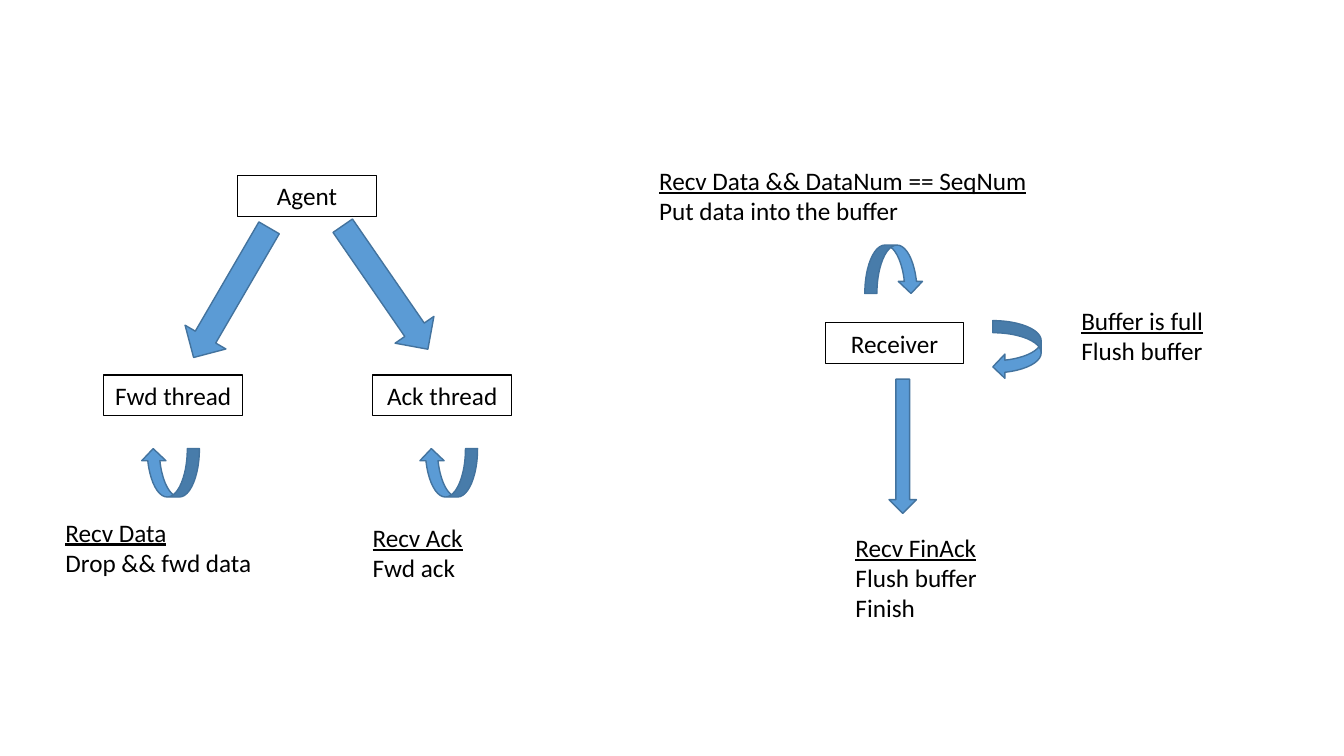
from dataclasses import dataclass

from pptx import Presentation
from pptx.dml.color import RGBColor
from pptx.enum.shapes import MSO_SHAPE
from pptx.enum.text import MSO_ANCHOR, PP_ALIGN
from pptx.shapes.autoshape import Shape
from pptx.slide import Slide
from pptx.text.text import TextFrame
from pptx.util import Cm, Pt

BLACK = RGBColor(0x00, 0x00, 0x00)
ARROW_BLUE = RGBColor(0x5B, 0x9B, 0xD5)
ARROW_EDGE = RGBColor(0x43, 0x73, 0x9E)

FONT = "Calibri"
FONT_SIZE = Pt(18)
NODE_SIZE = (3.49, 1.03)
BRANCH_SIZE = (3.78, 1.19)
EXIT_SIZE = (3.38, 0.69)
LOOP_SIZE = (1.22, 1.47)
LINE_HEIGHT = 0.77
TEXT_MARGIN = 0.26


@dataclass(frozen=True)
class Node:
    """A state box; lengths are centimetres."""
    name: str
    left: float
    top: float


@dataclass(frozen=True)
class Arrow:
    """A block arrow; size and position are given before rotation."""
    preset: MSO_SHAPE
    left: float
    top: float
    size: tuple[float, float]
    rotation: float = 0


@dataclass(frozen=True)
class Transition:
    """An underlined event with the actions that it triggers."""
    event: str
    actions: tuple[str, ...]
    left: float
    top: float
    width: float


NODES = (
    Node("Agent", 5.99, 4.42),
    Node("Fwd thread", 2.62, 9.45),
    Node("Ack thread", 9.4, 9.45),
    Node("Receiver", 20.8, 8.13),
)

ARROWS = (
    Arrow(MSO_SHAPE.RIGHT_ARROW, 7.82, 6.65, BRANCH_SIZE, 55.4),
    Arrow(MSO_SHAPE.RIGHT_ARROW, 3.94, 6.78, BRANCH_SIZE, 120.2),
    Arrow(MSO_SHAPE.RIGHT_ARROW, 21.06, 10.9, EXIT_SIZE, 90),
    Arrow(MSO_SHAPE.CURVED_LEFT_ARROW, 3.68, 11.18, LOOP_SIZE, 90),
    Arrow(MSO_SHAPE.CURVED_LEFT_ARROW, 10.69, 11.18, LOOP_SIZE, 90),
    Arrow(MSO_SHAPE.CURVED_LEFT_ARROW, 21.92, 6.05, LOOP_SIZE, 270),
    Arrow(MSO_SHAPE.CURVED_LEFT_ARROW, 25.02, 8.08, LOOP_SIZE),
)

TRANSITIONS = (
    Transition("Recv Data", ("Drop && fwd data",), 1.4, 12.9, 5.87),
    Transition("Recv Ack", ("Fwd ack",), 9.14, 13.03, 2.95),
    Transition("Recv Data && DataNum == SeqNum", ("Put data into the buffer",),
               16.36, 4.04, 11.81),
    Transition("Buffer is full", ("Flush buffer",), 27, 7.57, 4.27),
    Transition("Recv FinAck", ("Flush buffer", "Finish"), 21.31, 13.28, 4.01),
)


def write_lines(frame: TextFrame, lines: tuple[str, ...], align: PP_ALIGN,
                underline_first: bool = False) -> None:
    for index, line in enumerate(lines):
        paragraph = frame.paragraphs[0] if index == 0 else frame.add_paragraph()
        paragraph.alignment = align
        run = paragraph.add_run()
        run.text = line
        run.font.name = FONT
        run.font.size = FONT_SIZE
        run.font.color.rgb = BLACK
        run.font.underline = underline_first and index == 0


def add_flat_shape(slide: Slide, preset: MSO_SHAPE, left: float, top: float,
                   size: tuple[float, float], edge: RGBColor, edge_width: float) -> Shape:
    """Add a preset shape without shadow, outlined but not yet filled."""
    width, height = size
    shape = slide.shapes.add_shape(preset, Cm(left), Cm(top), Cm(width), Cm(height))
    shape.shadow.inherit = False
    shape.line.color.rgb = edge
    shape.line.width = Pt(edge_width)
    return shape


def add_node(slide: Slide, node: Node) -> None:
    box = add_flat_shape(slide, MSO_SHAPE.RECTANGLE, node.left, node.top,
                         NODE_SIZE, BLACK, 0.75)
    box.fill.background()
    box.text_frame.word_wrap = False
    box.text_frame.vertical_anchor = MSO_ANCHOR.MIDDLE
    write_lines(box.text_frame, (node.name,), PP_ALIGN.CENTER)


def add_arrow(slide: Slide, arrow: Arrow) -> None:
    block = add_flat_shape(slide, arrow.preset, arrow.left, arrow.top,
                           arrow.size, ARROW_EDGE, 1)
    block.fill.solid()
    block.fill.fore_color.rgb = ARROW_BLUE
    block.rotation = arrow.rotation


def add_transition(slide: Slide, transition: Transition) -> None:
    lines = (transition.event, *transition.actions)
    height = LINE_HEIGHT * len(lines) + TEXT_MARGIN
    label = slide.shapes.add_textbox(Cm(transition.left), Cm(transition.top),
                                     Cm(transition.width), Cm(height))
    label.text_frame.word_wrap = True
    write_lines(label.text_frame, lines, PP_ALIGN.LEFT, underline_first=True)


def main() -> None:
    presentation = Presentation()
    presentation.slide_width = Cm(33.87)
    presentation.slide_height = Cm(19.05)
    slide = presentation.slides.add_slide(presentation.slide_layouts[6])
    for node in NODES:
        add_node(slide, node)
    for arrow in ARROWS:
        add_arrow(slide, arrow)
    for transition in TRANSITIONS:
        add_transition(slide, transition)
    presentation.save("out.pptx")


if __name__ == "__main__":
    main()
